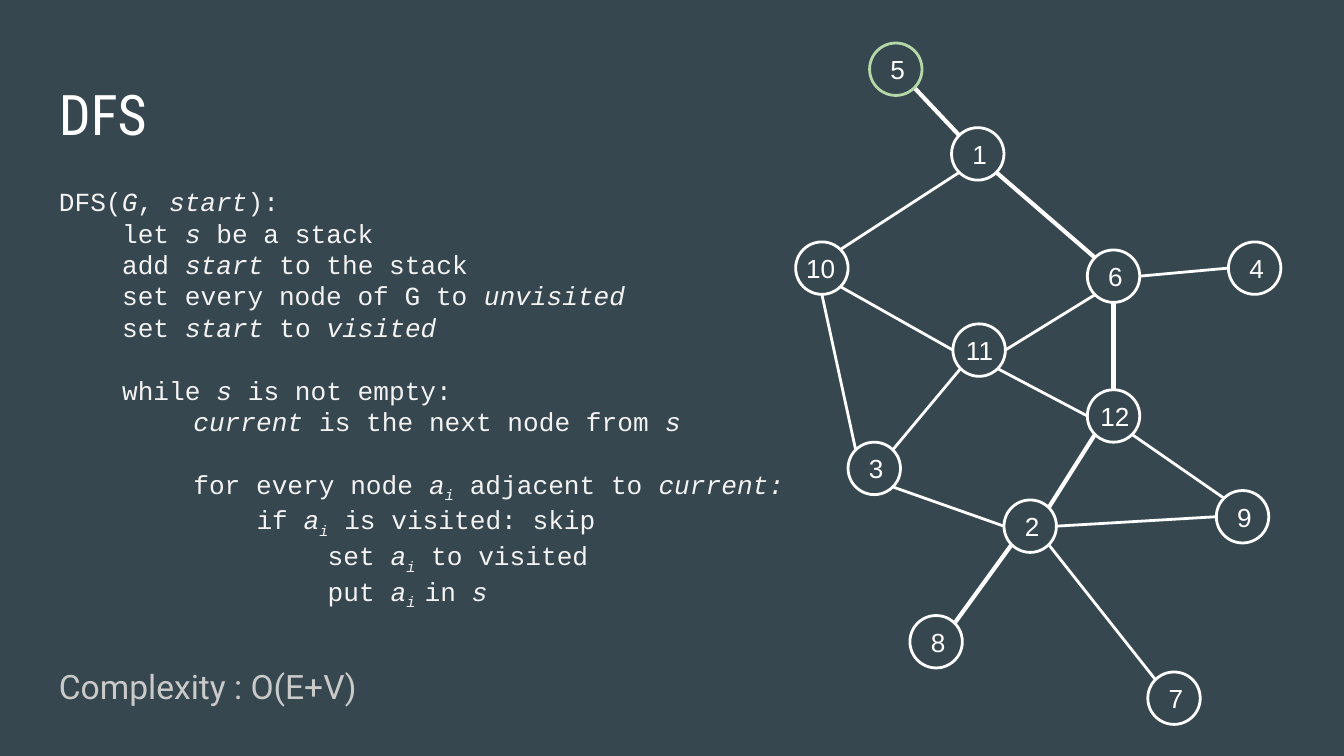
from pptx import Presentation
from pptx.dml.color import RGBColor
from pptx.enum.shapes import MSO_CONNECTOR as CONN, MSO_SHAPE as SHAPE
from pptx.enum.text import MSO_ANCHOR as ANCHOR, PP_ALIGN as ALIGN
from pptx.oxml.ns import qn
from pptx.util import Inches, Pt
from lxml import etree

SLATE = RGBColor(0x37, 0x47, 0x4F)
WHITE = RGBColor(0xFF, 0xFF, 0xFF)
PALE = RGBColor(0xF3, 0xF3, 0xF3)
GREY = RGBColor(0xCA, 0xCA, 0xCA)
GREEN = RGBColor(0xB6, 0xD7, 0xA8)

TITLE = dict(name="Roboto Condensed", size=Pt(30), color=WHITE)
CODE = dict(name="Courier New", size=Pt(14), color=PALE)
NOTE = dict(name="Roboto", size=Pt(18), color=GREY)
LABEL = dict(name="Arial", size=Pt(14), color=WHITE)

# Indent in inches, then the line; *...* is italic, _ starts a subscript
CODE_LINES = [
    (0, "DFS(*G*, *start*):"),
    (0.47, "let *s* be a stack"),
    (0.47, "add *start *to the stack"),
    (0.47, "set every node of G to *unvisited*"),
    (0.47, "set *start *to *visited*"),
    (0.47, "while *s* is not empty:"),
    (1, "*current *is the next node from *s*"),
    (1, "for every node *a_i* adjacent to *current:*"),
    (1.47, "if *a_i* is visited: skip"),
    (2, "set *a_i* to visited"),
    (2, "put *a_i *in *s*"),
]
BLOCK_STARTS = ("while", "for")
LINE_PITCH = 16.85

# Top left corner of each node, relative to the graph box
NODES = {
    5: (0.55, 0), 1: (1.16, 0.63), 10: (0, 1.48), 6: (2.17, 1.54),
    4: (3.22, 1.48), 11: (1.17, 2.09), 12: (2.17, 2.58), 3: (0.39, 2.97),
    2: (1.55, 3.4), 9: (3.13, 3.33), 8: (0.85, 4.26), 7: (2.62, 4.68),
}
NODE_SIZE = 0.39
START_NODE = 5

# Compass points where an edge leaves one node and enters the other
DIRECTIONS = {"N": (0, -1), "S": (0, 1), "E": (1, 0), "W": (-1, 0),
              "NE": (0.71, -0.71), "NW": (-0.71, -0.71),
              "SE": (0.71, 0.71), "SW": (-0.71, 0.71)}
TREE_EDGES = [(5, "SE", 1, "NW"), (1, "SE", 6, "NW"), (6, "S", 12, "N"),
              (12, "SW", 2, "NE"), (2, "SW", 8, "NE")]
OTHER_EDGES = [(10, "S", 3, "NW"), (10, "SE", 11, "W"), (11, "SW", 3, "NE"),
               (11, "E", 6, "SW"), (6, "E", 4, "W"), (12, "SE", 9, "NW"),
               (2, "E", 9, "W"), (7, "NW", 2, "SE"), (10, "NE", 1, "SW"),
               (3, "SE", 2, "W"), (11, "SE", 12, "W")]


def add_run(p, text, style, **extra):
    r = p.add_run()
    r.text = text
    for key, value in {**style, **extra}.items():
        if key == "color":
            r.font.color.rgb = value
        else:
            setattr(r.font, key, value)
    return r


def set_margins(tf, left, top, right, bottom):
    for side, value in dict(left=left, top=top, right=right, bottom=bottom).items():
        setattr(tf, f"margin_{side}", Inches(value))


def add_box(slide, x, y, w, h):
    tf = slide.shapes.add_textbox(*map(Inches, (x, y, w, h))).text_frame
    tf.word_wrap = True
    set_margins(tf, 0.1, 0.1, 0.1, 0.1)
    return tf


def add_line_of_text(slide, box, text, style, spacing=1.0):
    p = add_box(slide, *box).paragraphs[0]
    p.line_spacing = spacing
    add_run(p, text, style)


def add_code(slide, box):
    tf = add_box(slide, *box)
    for i, (indent, line) in enumerate(CODE_LINES):
        p = tf.add_paragraph() if i else tf.paragraphs[0]
        pPr = p._p.get_or_add_pPr()
        pPr.set("marL", str(Inches(indent)))
        pPr.set("indent", "0")
        # Subscripts make their lines taller
        p.line_spacing = Pt(LINE_PITCH + (2.2 if "_" in line else 0))
        if line.startswith(BLOCK_STARTS):
            p.space_before = Pt(LINE_PITCH)
        for j, part in enumerate(line.split("*")):
            base, _, sub = part.partition("_")
            italic = j % 2 == 1
            if base:
                add_run(p, base, CODE, italic=italic)
            if sub:
                r = add_run(p, sub, CODE, italic=italic)
                r.font._element.set("baseline", "-25000")


def add_edge(slide, x, y, edge, width):
    ends = []
    for node, side in (edge[:2], edge[2:]):
        for origin, pos, step in zip((x, y), NODES[node], DIRECTIONS[side]):
            ends.append(Inches(origin + pos + NODE_SIZE / 2 * (1 + step)))
    s = slide.shapes.add_connector(CONN.STRAIGHT, *ends)
    s.line.color.rgb = WHITE
    s.line.width = Pt(width)
    etree.SubElement(s._element.spPr, qn("a:effectLst"))


def add_node(slide, x, y, number):
    s = slide.shapes.add_shape(SHAPE.OVAL, *map(Inches, (x, y, NODE_SIZE, NODE_SIZE)))
    s.shadow.inherit = False
    s.fill.background()
    s.line.color.rgb = GREEN if number == START_NODE else WHITE
    s.line.width = Pt(1.5)
    tf = s.text_frame
    tf.vertical_anchor = ANCHOR.MIDDLE
    # Two digits need the whole width of the circle
    if number < 10:
        set_margins(tf, 0.1, 0.1, 0.1, 0.1)
    else:
        set_margins(tf, 0.02 if number == 10 else 0.04, 0, 0, 0)
    p = tf.paragraphs[0]
    p.alignment = ALIGN.LEFT
    add_run(p, str(number), LABEL)


def add_graph(slide, x, y):
    for edges, width in ((OTHER_EDGES, 1.5), (TREE_EDGES, 2.25)):
        for edge in edges:
            add_edge(slide, x, y, edge, width)
    for number, (dx, dy) in NODES.items():
        add_node(slide, x + dx, y + dy, number)


def main():
    prs = Presentation()
    # Widescreen, 16:9
    prs.slide_width = Inches(10)
    prs.slide_height = Inches(10 * 9 / 16)
    slide = prs.slides.add_slide(prs.slide_layouts[6])
    slide.background.fill.solid()
    slide.background.fill.fore_color.rgb = SLATE

    # Left column: title, pseudocode, complexity
    add_line_of_text(slide, (0.34, 0.49, 4.09, 0.63), "DFS", TITLE)
    add_code(slide, (0.34, 1.28, 6.89, 3.49))
    add_line_of_text(slide, (0.34, 4.81, 4.57, 0.77), "Complexity : O(E+V)", NOTE, 1.15)

    # Right column: the searched graph
    add_graph(slide, 5.92, 0.32)

    prs.save("out.pptx")


if __name__ == "__main__":
    main()
